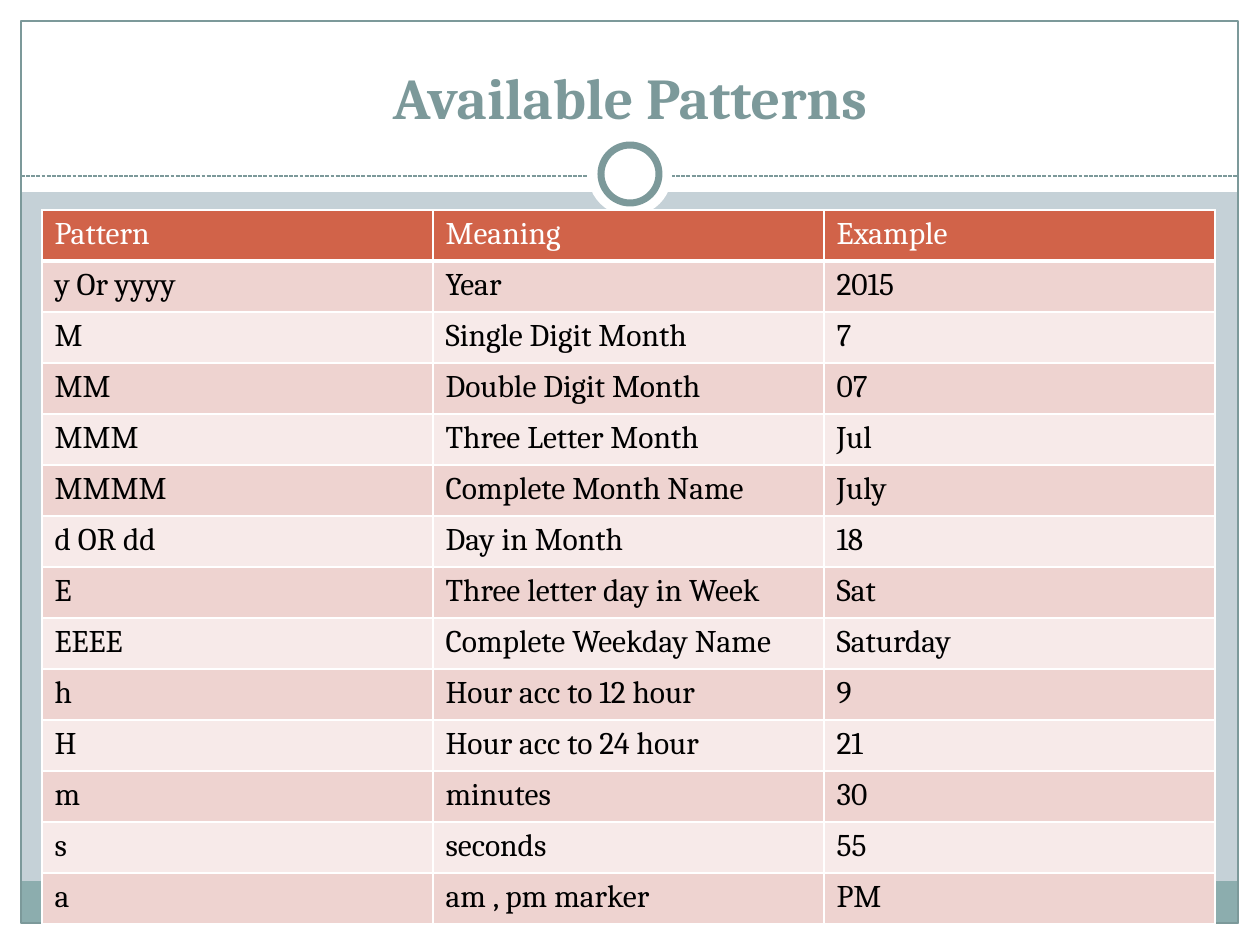
from typing import NamedTuple, Optional

from pptx import Presentation
from pptx.dml.color import RGBColor
from pptx.enum.dml import MSO_LINE
from pptx.enum.shapes import MSO_CONNECTOR, MSO_SHAPE
from pptx.enum.text import MSO_ANCHOR, MSO_AUTO_SIZE, PP_ALIGN
from pptx.oxml.ns import qn
from pptx.util import Emu, Pt
from lxml import etree

RECT, OVAL = MSO_SHAPE.RECTANGLE, MSO_SHAPE.OVAL
LINE, DASH = MSO_CONNECTOR.STRAIGHT, MSO_LINE.SQUARE_DOT
BOTTOM, CENTER, FIXED = MSO_ANCHOR.BOTTOM, PP_ALIGN.CENTER, MSO_AUTO_SIZE.NONE
FONT = "Cambria"
COLORS = {"back": "C5D1D7", "white": "FFFFFF", "band": "8CADAE", "teal": "7C999A",
          "head": "D16349", "dark": "EED3D0", "light": "F7EAE9", "black": "000000"}


class Part(NamedTuple):
    kind: int
    left: int
    top: int
    width: int
    height: int
    fill: Optional[str] = "white"
    line: float = 0


# Slide frame; the dashed rule goes between FRAME and RING
FRAME = [
    Part(RECT, 0, 924, 1260, 21),
    Part(RECT, 0, 0, 1260, 192),
    Part(RECT, 0, 0, 21, 945),
    Part(RECT, 1239, 0, 21, 945),
    Part(RECT, 21, 881, 1217, 43, "band"),
    Part(RECT, 21, 21, 1217, 902, None, 0.75),
]
RING = [Part(OVAL, 588, 132, 84, 84), Part(OVAL, 601, 145, 58, 58, "white", 4)]

ROWS = [
    ("Pattern", "Meaning", "Example"),
    ("y Or yyyy", "Year", "2015"),
    ("M", "Single Digit Month", "7"),
    ("MM", "Double Digit Month", "07"),
    ("MMM", "Three Letter Month", "Jul"),
    ("MMMM", "Complete Month Name", "July"),
    ("d OR dd", "Day in Month", "18"),
    ("E", "Three letter day in Week", "Sat"),
    ("EEEE", "Complete Weekday Name", "Saturday"),
    ("h", "Hour acc to 12 hour", "9"),
    ("H", "Hour acc to 24 hour", "21"),
    ("m", "minutes", "30"),
    ("s", "seconds", "55"),
    ("a", "am , pm marker", "PM"),
]
COL_W, ROW_H = 391, 51


def px(count: int) -> Emu:
    return Emu(round(count * 914400 / 126))


def color(name: str) -> RGBColor:
    return RGBColor.from_string(COLORS[name])


def paint(fill, name: str) -> None:
    fill.solid()
    fill.fore_color.rgb = color(name)


def draw(shapes, part: Part) -> None:
    box = map(px, (part.left, part.top, part.width, part.height))
    shape = shapes.add_shape(part.kind, *box)
    shape.shadow.inherit = False
    if part.fill:
        paint(shape.fill, part.fill)
    else:
        shape.fill.background()
    if part.line:
        shape.line.color.rgb = color("teal")
        shape.line.width = Pt(part.line)
    else:
        shape.line.fill.background()


def rule(shapes, left: int, right: int, top: int) -> None:
    line = shapes.add_connector(LINE, px(left), px(top), px(right), px(top))
    line.line.color.rgb = color("teal")
    line.line.width = Pt(0.75)
    line.line.dash_style = DASH
    etree.SubElement(line.element.spPr, qn("a:effectLst"))


def style(para, size: int, name: str) -> None:
    para.font.name = FONT
    para.font.size = Pt(size)
    para.font.color.rgb = color(name)


def edge(cell, below: int) -> None:
    props = cell._tc.get_or_add_tcPr()
    for spot, (side, width) in enumerate(zip("LRTB", (1, 1, 1, below))):
        line = etree.Element(qn(f"a:ln{side}"), w=str(Pt(width)))
        fill = etree.SubElement(line, qn("a:solidFill"))
        etree.SubElement(fill, qn("a:srgbClr"), val=COLORS["white"])
        props.insert(spot, line)


def grid(shapes, left: int, top: int) -> None:
    cols = len(ROWS[0])
    table = shapes.add_table(len(ROWS), cols, px(left), px(top),
                             px(COL_W * cols), px(ROW_H * len(ROWS))).table
    for col in table.columns:
        col.width = px(COL_W)
    for r, texts in enumerate(ROWS):
        table.rows[r].height = px(ROW_H)
        fill = "head" if r == 0 else "dark" if r % 2 else "light"
        for c, text in enumerate(texts):
            cell = table.cell(r, c)
            cell.text = text
            style(cell.text_frame.paragraphs[0], 18, "black" if r else "white")
            paint(cell.fill, fill)
            edge(cell, 1 if r else 3)


deck = Presentation()
deck.slide_width, deck.slide_height = px(1260), px(945)
slide = deck.slides.add_slide(deck.slide_layouts[5])
paint(slide.background.fill, "back")
shapes = slide.shapes

# Frame, rule and ring
for part in FRAME:
    draw(shapes, part)
rule(shapes, 21, 1239, 176)
for part in RING:
    draw(shapes, part)

# Title, raised above the frame
title = shapes.title
title.left, title.top, title.width, title.height = map(px, (42, 32, 1176, 105))
frame = title.text_frame
frame.text = "Available Patterns"
frame.auto_size = FIXED
frame.vertical_anchor = BOTTOM
head = frame.paragraphs[0]
head.alignment = CENTER
style(head, 33, "teal")
head.font.bold = True
shapes.element.append(title.element)

# Table of patterns
grid(shapes, 42, 210)

deck.save("out.pptx")
